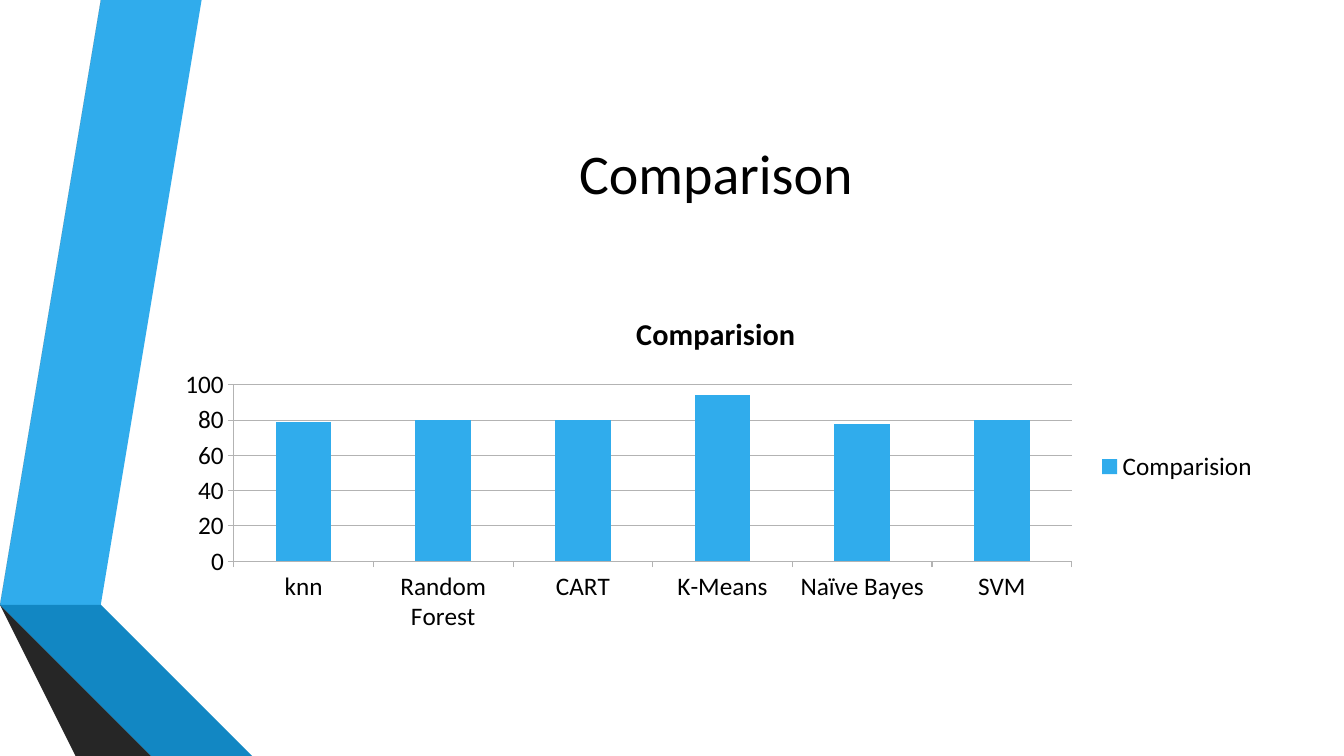
from pptx import Presentation
from pptx.chart.data import CategoryChartData
from pptx.dml.color import RGBColor
from pptx.enum.chart import XL_CHART_TYPE as ChartType, XL_LEGEND_POSITION as LegendPosition
from pptx.enum.chart import XL_TICK_MARK as TickMark
from pptx.enum.text import MSO_ANCHOR as Anchor, PP_ALIGN as Align
from pptx.util import Inches, Pt

# Content
TITLE = "Comparison"
SERIES = "Comparision"
ACCURACY = {
    "knn": 79,
    "Random Forest": 80,
    "CART": 80,
    "K-Means": 94,
    "Naïve Bayes": 78,
    "SVM": 80,
}

# Style and layout, in inches
FONT = "Calibri"
COLORS = {
    "blue": "30ACEC", "deep blue": "1287C3", "navy": "0C5A82",
    "gray": "595959", "dark gray": "404040", "near black": "262626",
    "text": "000000", "grid": "B3B3B3",
}
WIDTH, HEIGHT = 13.33, 7.5
LEFT, CONTENT_WIDTH = 1.62, 10.96
TITLE_TOP, TITLE_HEIGHT = 0.75, 1.92
CHART_TOP, CHART_HEIGHT = 2.92, 3.42

# Folded ribbons, back to front: color and corner points
RIBBONS = [
    ("blue", [(0.5, 5.78), (0.77, 5.83), (1.73, 0), (1.45, 0)]),
    ("gray", [(1.39, 0), (1.11, 0), (0.16, 5.73), (0.44, 5.77)]),
    ("near black", [(0.16, 5.73), (1.45, HEIGHT), (1.51, HEIGHT)]),
    ("navy", [(0.5, 5.79), (2.08, HEIGHT), (2.14, HEIGHT)]),
    ("deep blue", [(0.5, 5.79), (2.14, HEIGHT), (2.83, HEIGHT), (0.77, 5.83), (0.5, 5.78)]),
    ("dark gray", [(2.02, HEIGHT), (0.48, 5.83), (0.43, 5.78), (0.44, 5.77),
                   (0.16, 5.73), (1.51, HEIGHT)]),
]


def color(name):
    return RGBColor.from_string(COLORS[name])


def set_font(font, size, bold=False):
    font.name, font.size, font.bold = FONT, Pt(size), bold
    font.color.rgb = color("text")


def add_ribbon(page, fill, points):
    builder = page.shapes.build_freeform(*points[0], scale=Inches(1))
    builder.add_line_segments(points[1:], close=True)
    ribbon = builder.convert_to_shape()
    ribbon.shadow.inherit = False
    ribbon.fill.solid()
    ribbon.fill.fore_color.rgb = color(fill)
    ribbon.line.fill.background()


def format_title(title):
    title.left, title.top = Inches(LEFT), Inches(TITLE_TOP)
    title.width, title.height = Inches(CONTENT_WIDTH), Inches(TITLE_HEIGHT)
    title.text_frame.text = TITLE
    title.text_frame.vertical_anchor = Anchor.MIDDLE
    para = title.text_frame.paragraphs[0]
    para.alignment = Align.CENTER
    set_font(para.font, 40)


def add_comparison_chart(page):
    data = CategoryChartData()
    data.categories = list(ACCURACY)
    data.add_series(SERIES, list(ACCURACY.values()))
    chart = page.shapes.add_chart(
        ChartType.COLUMN_CLUSTERED, Inches(LEFT), Inches(CHART_TOP),
        Inches(CONTENT_WIDTH), Inches(CHART_HEIGHT), data).chart
    set_font(chart.font, 18)

    chart.has_title = True
    chart.chart_title.text_frame.text = SERIES
    set_font(chart.chart_title.text_frame.paragraphs[0].font, 21.6, bold=True)
    chart.chart_title.include_in_layout = False

    chart.has_legend = True
    chart.legend.position = LegendPosition.RIGHT
    chart.legend.include_in_layout = False

    # Columns and axes
    plot = chart.plots[0]
    plot.gap_width = 150
    plot.vary_by_categories = False
    columns = plot.series[0].format.fill
    columns.solid()
    columns.fore_color.rgb = color("blue")
    for axis in (chart.category_axis, chart.value_axis):
        axis.major_tick_mark = TickMark.OUTSIDE
        axis.minor_tick_mark = TickMark.NONE
        axis.format.line.color.rgb = color("grid")
    values = chart.value_axis
    values.minimum_scale, values.maximum_scale, values.major_unit = 0, 100, 20
    values.has_major_gridlines = True
    values.major_gridlines.format.line.color.rgb = color("grid")


def main():
    deck = Presentation()
    deck.slide_width, deck.slide_height = Inches(WIDTH), Inches(HEIGHT)
    page = deck.slides.add_slide(deck.slide_layouts[5])
    for fill, points in RIBBONS:
        add_ribbon(page, fill, points)
    format_title(page.shapes.title)
    add_comparison_chart(page)
    deck.save("out.pptx")


if __name__ == "__main__":
    main()
